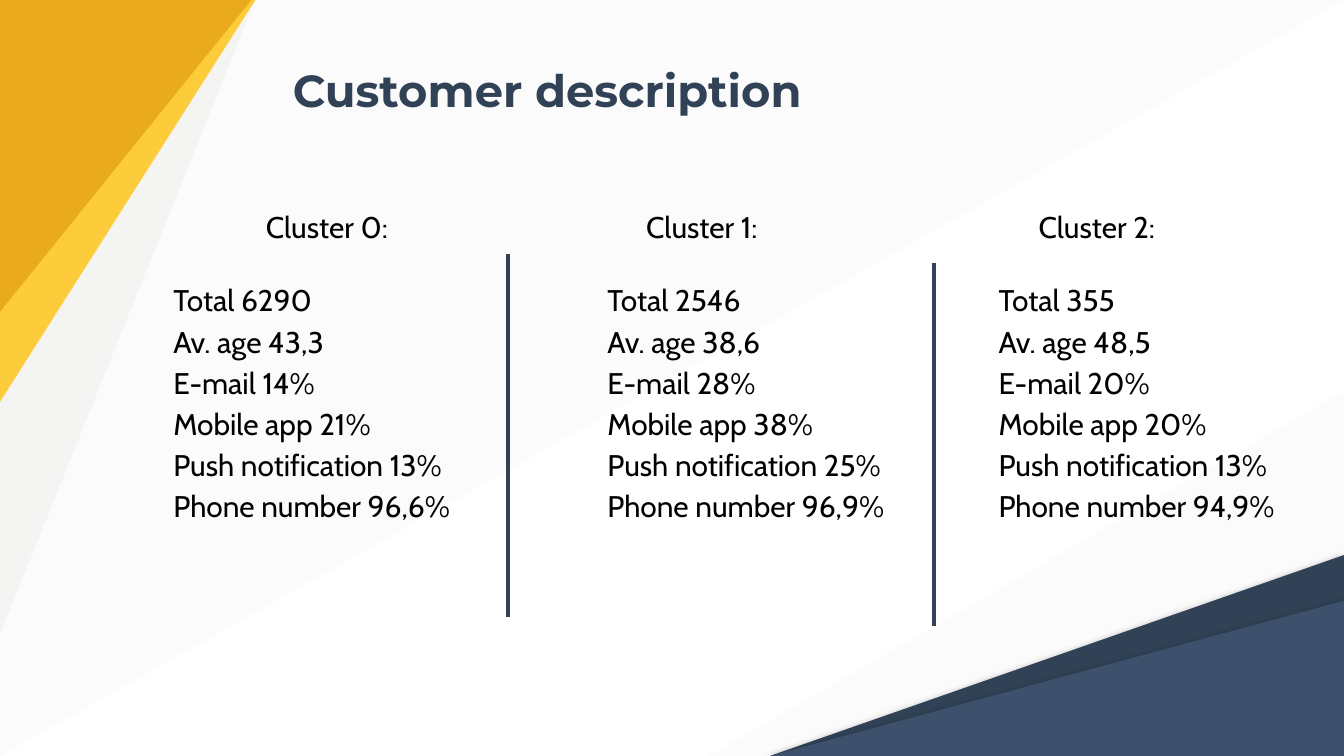
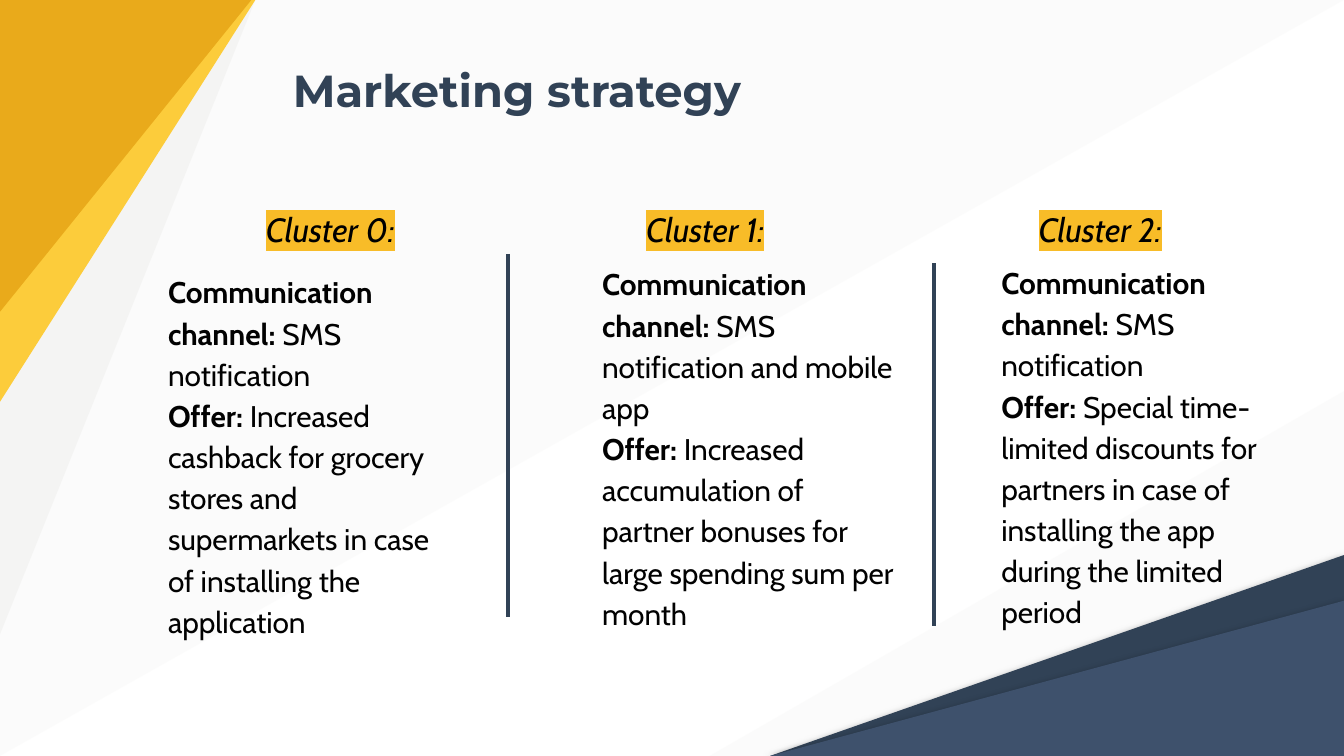
from dataclasses import dataclass
from typing import Optional

from lxml import etree
from pptx import Presentation
from pptx.dml.color import RGBColor
from pptx.enum.shapes import MSO_CONNECTOR
from pptx.enum.text import MSO_ANCHOR
from pptx.oxml.ns import qn
from pptx.util import Emu, Inches, Pt

STRAIGHT = MSO_CONNECTOR.STRAIGHT
TOP, BOTTOM = MSO_ANCHOR.TOP, MSO_ANCHOR.BOTTOM

# Square grid: 100 columns across, 56.25 rows down
SLIDE_WIDTH = Inches(10)
COLUMNS, ROWS = 100, 56.25
UNIT = SLIDE_WIDTH / COLUMNS

NAVY, SLATE = "314256", "3E516C"
GOLD, YELLOW, HIGHLIGHT = "E9AA1B", "FCCC3B", "F8BC28"
PALE, INK, BLACK, WHITE = "EDEDEB", "010101", "000000", "FFFFFF"
TITLE_FONT, BODY_FONT = "Montserrat", "Cabin"
LINE_SPACING = 1.15
INDENT = 5


@dataclass(frozen=True)
class Box:
    left: float
    top: float
    width: float
    height: float


@dataclass(frozen=True)
class Insets:
    left: float = 1
    top: float = 1
    right: float = 1
    bottom: float = 1


@dataclass(frozen=True)
class Style:
    size: float
    font: str = BODY_FONT
    color: str = INK
    bold: bool = False
    italic: bool = False
    highlight: Optional[str] = None


@dataclass(frozen=True)
class Triangle:
    corners: tuple
    color: str
    opacity: int = 100
    shadow: bool = False


@dataclass(frozen=True)
class Strategy:
    channel: str
    offer: str


TITLE = Style(24, TITLE_FONT, NAVY, bold=True)
PLAIN = Style(16)
STRONG = Style(16, bold=True)
MARKED = Style(18, color=BLACK, italic=True, highlight=HIGHLIGHT)

BACKDROP = (
    Triangle(((COLUMNS, ROWS), (52.8, ROWS), (COLUMNS, 29.1)), PALE, 17),
    Triangle(((COLUMNS, ROWS), (COLUMNS, 41.3), (57.3, ROWS)), NAVY, shadow=True),
    Triangle(((COLUMNS, ROWS), (COLUMNS, 44.7), (57.3, ROWS)), SLATE, shadow=True),
    Triangle(((0, 0), (0, ROWS), (COLUMNS, 0)), PALE, 17),
    Triangle(((0, 0), (0, 47.2), (19, 0)), PALE, 47),
    Triangle(((0, 0), (19, 0), (0, 29.9)), YELLOW),
    Triangle(((0, 0), (18.7, 0), (0, 23.2)), GOLD),
)
TITLE_BOX = Box(20.8, 3, 40.8, 6.7)
HEADING_LEFTS = (13.8, 42.1, 71.3)
DIVIDERS = ((37.8, 18.9), (69.5, 19.6))
DIVIDER_HEIGHT = 27
BODY_WIDTH = 27.1

# Slide content
FACT_LABELS = ("Total", "Av. age", "E-mail", "Mobile app",
               "Push notification", "Phone number")
FACTS = (
    ("6290", "43,3", "14%", "21%", "13%", "96,6%"),
    ("2546", "38,6", "28%", "38%", "25%", "96,9%"),
    ("355", "48,5", "20%", "20%", "13%", "94,9%"),
)
FACT_PLACES = ((7.5, 19.6), (39.8, 19.6), (68.9, 19.6))
STRATEGIES = (
    Strategy("SMS notification",
             "Increased cashback for grocery stores and supermarkets "
             "in case of installing the application"),
    Strategy("SMS notification and mobile app",
             "Increased accumulation of partner bonuses for large "
             "spending sum per month"),
    Strategy("SMS notification",
             "Special time-limited discounts for partners in case of "
             "installing the app during the limited period"),
)
STRATEGY_PLACES = ((7.5, 19.6), (39.8, 19), (69.5, 18.9))


def grid(cells: float) -> Emu:
    return Emu(round(cells * UNIT))


def rgb(color: str) -> RGBColor:
    return RGBColor.from_string(color)


def set_effects(shape, shadow: bool = False) -> None:
    """Give a shape or connector an explicit effect list."""
    properties = shape._element.spPr
    for old in properties.findall(qn("a:effectLst")):
        properties.remove(old)
    effects = etree.SubElement(properties, qn("a:effectLst"))
    if shadow:
        outer = etree.SubElement(effects, qn("a:outerShdw"), {
            "blurRad": str(Pt(4.5)), "dist": str(Pt(1.5)),
            "dir": "5400000", "algn": "bl", "rotWithShape": "0"})
        color = etree.SubElement(outer, qn("a:srgbClr"), val=BLACK)
        etree.SubElement(color, qn("a:alpha"), val="50000")


def add_triangle(slide, triangle: Triangle) -> None:
    first, *others = [(grid(x), grid(y)) for x, y in triangle.corners]
    builder = slide.shapes.build_freeform(*first)
    builder.add_line_segments(others, close=True)
    shape = builder.convert_to_shape()
    shape.fill.solid()
    shape.fill.fore_color.rgb = rgb(triangle.color)
    shape.line.fill.background()
    set_effects(shape, triangle.shadow)
    if triangle.opacity < 100:
        color = shape._element.spPr.find(f"{qn('a:solidFill')}/{qn('a:srgbClr')}")
        etree.SubElement(color, qn("a:alpha"), val=str(triangle.opacity * 1000))


def add_run(paragraph, text: str, style: Style) -> None:
    run = paragraph.add_run()
    run.text = text
    font = run.font
    font.name, font.size = style.font, Pt(style.size)
    font.bold, font.italic = style.bold, style.italic
    font.color.rgb = rgb(style.color)
    if style.highlight:
        marker = etree.Element(qn("a:highlight"))
        etree.SubElement(marker, qn("a:srgbClr"), val=style.highlight)
        run._r.rPr.find(qn("a:solidFill")).addnext(marker)


def add_text(slide, box: Box, paragraphs: list, insets: Insets = Insets(),
             indent: float = INDENT, anchor=TOP) -> None:
    """Each paragraph is a list of (text, style) runs."""
    shape = slide.shapes.add_textbox(grid(box.left), grid(box.top),
                                     grid(box.width), grid(box.height))
    frame = shape.text_frame
    frame.word_wrap = True
    frame.vertical_anchor = anchor
    frame.margin_left, frame.margin_right = grid(insets.left), grid(insets.right)
    frame.margin_top, frame.margin_bottom = grid(insets.top), grid(insets.bottom)
    for index, runs in enumerate(paragraphs):
        paragraph = frame.add_paragraph() if index else frame.paragraphs[0]
        paragraph.line_spacing = LINE_SPACING
        properties = paragraph._p.get_or_add_pPr()
        properties.set("marL", str(grid(indent)))
        properties.set("indent", "0")
        for text, style in runs:
            add_run(paragraph, text, style)


def add_divider(slide, left: float, top: float) -> None:
    line = slide.shapes.add_connector(STRAIGHT, grid(left), grid(top),
                                      grid(left), grid(top + DIVIDER_HEIGHT))
    line.line.color.rgb = rgb(NAVY)
    line.line.width = Pt(2.25)
    set_effects(line)


def add_cluster_slide(presentation, title: str, heading: Style):
    """Backdrop, title, cluster headings and dividers."""
    slide = presentation.slides.add_slide(presentation.slide_layouts[6])
    slide.background.fill.solid()
    slide.background.fill.fore_color.rgb = rgb(WHITE)
    for triangle in BACKDROP:
        add_triangle(slide, triangle)
    add_text(slide, TITLE_BOX, [[(title, TITLE)]], indent=0, anchor=BOTTOM)
    for number, left in enumerate(HEADING_LEFTS):
        add_text(slide, Box(left, 14.1, 22.4, 5.5),
                 [[(f"Cluster {number}:", heading)]])
    for left, top in DIVIDERS:
        add_divider(slide, left, top)
    return slide


def build_description(presentation) -> None:
    slide = add_cluster_slide(presentation, "Customer description", PLAIN)
    for (left, top), values in zip(FACT_PLACES, FACTS):
        lines = [[(f"{label} {value}", PLAIN)]
                 for label, value in zip(FACT_LABELS, values)]
        add_text(slide, Box(left, top, BODY_WIDTH, 27), lines,
                 Insets(left=0.4, right=0.4))


def build_strategy(presentation) -> None:
    slide = add_cluster_slide(presentation, "Marketing strategy", MARKED)
    for (left, top), strategy in zip(STRATEGY_PLACES, STRATEGIES):
        add_text(slide, Box(left, top, BODY_WIDTH, 29.6), [
            [("Communication channel: ", STRONG), (strategy.channel, PLAIN)],
            [("Offer: ", STRONG), (strategy.offer, PLAIN)],
        ], Insets(0, 0.4, 0.4, 0.4))


def main() -> None:
    presentation = Presentation()
    presentation.slide_width = SLIDE_WIDTH
    presentation.slide_height = grid(ROWS)
    build_description(presentation)
    build_strategy(presentation)
    presentation.save("out.pptx")


if __name__ == "__main__":
    main()
